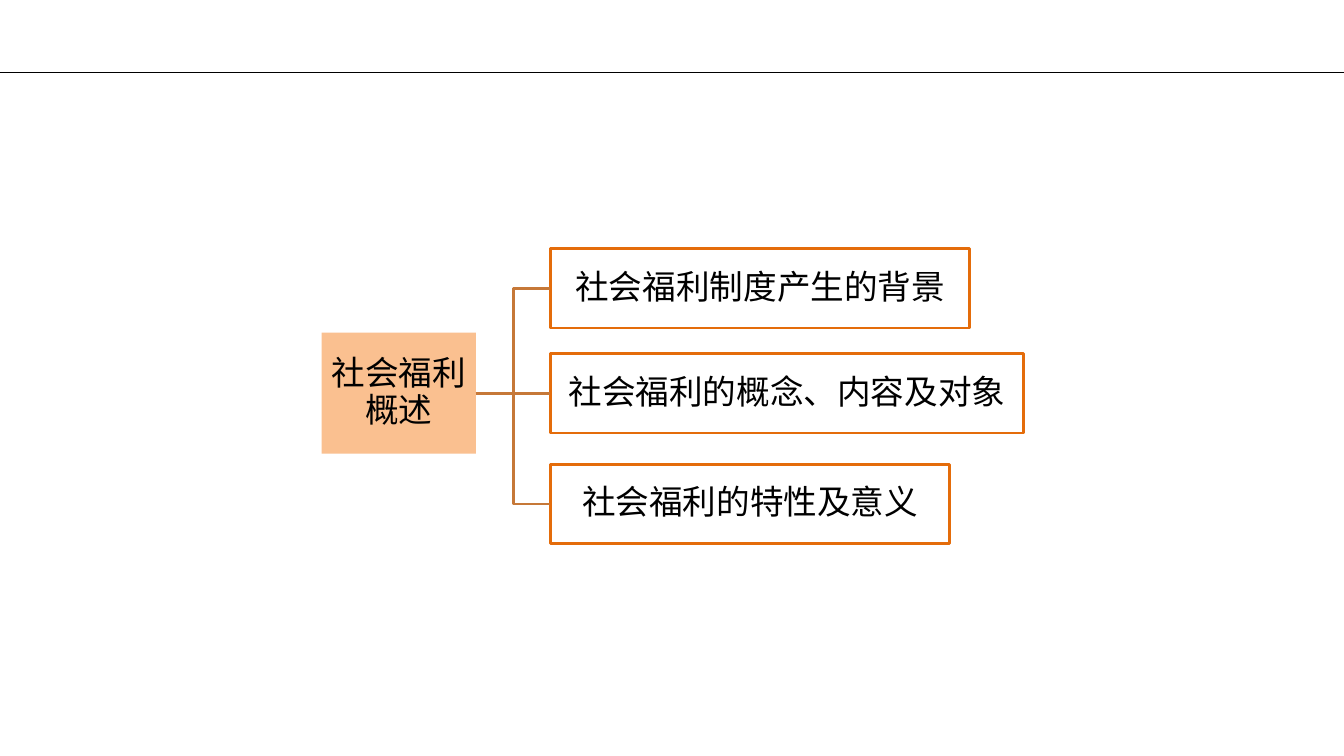
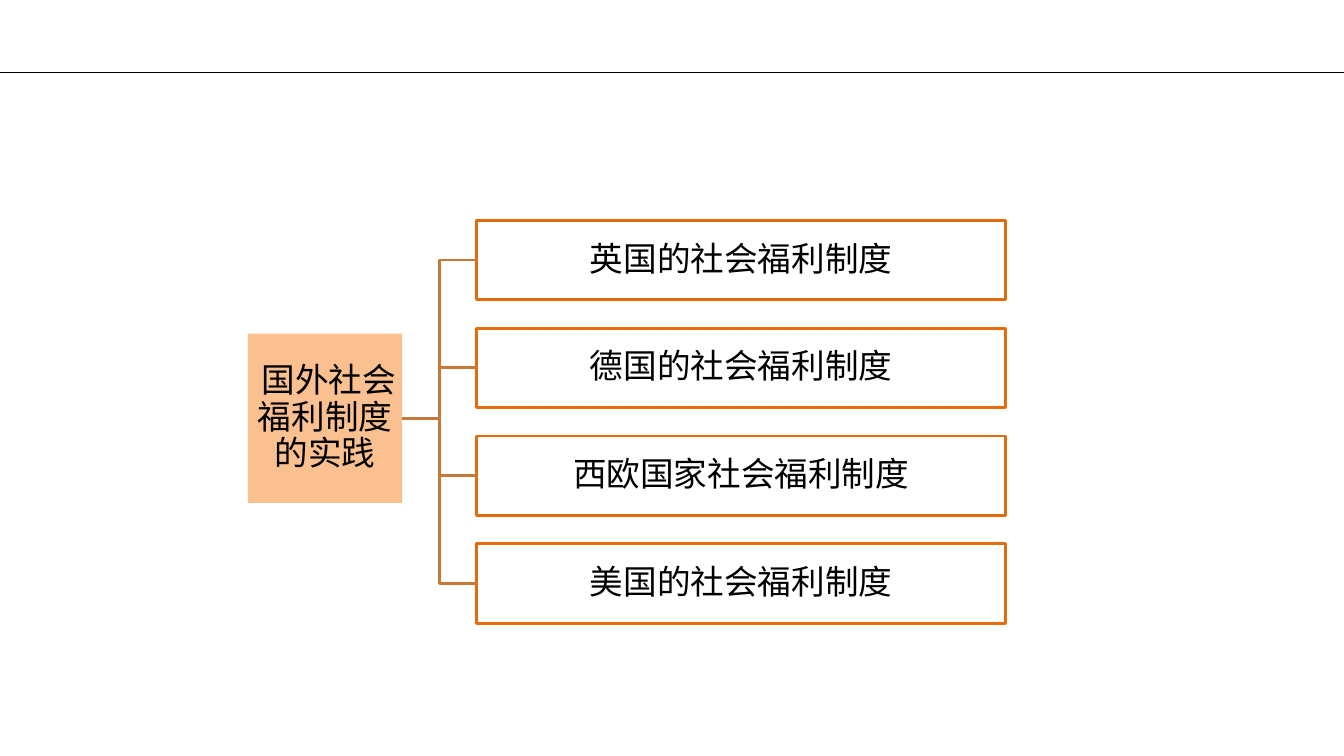
from lxml.etree import SubElement
from pptx import Presentation
from pptx.dml.color import RGBColor
from pptx.enum.shapes import MSO_CONNECTOR, MSO_SHAPE
from pptx.enum.text import MSO_ANCHOR, PP_ALIGN
from pptx.oxml.ns import qn
from pptx.util import Inches, Pt

FONT = "Noto Sans CJK SC"
BLACK, ORANGE, PEACH, BROWN = "000000", "E46C0A", "FAC090", "C67838"
SLIDE_W, SLIDE_H = 13.33, 7.5
RULE_Y = 0.72
ROOT_W, BRANCH_H, LINK_W = 1.53, 0.79, 0.74


def color(value):
    """Turn a hex string into a colour."""
    return RGBColor.from_string(value)


def add_line(s, kind, x1, y1, x2, y2, line, width):
    """Add a connector without a shadow."""
    cn = s.shapes.add_connector(kind, Inches(x1), Inches(y1), Inches(x2), Inches(y2))
    cn.line.color.rgb = color(line)
    cn.line.width = Pt(width)
    SubElement(cn._element.spPr, qn("a:effectLst"))
    return cn


def add_box(s, x, center, w, h, text, fill=None, line=None):
    """Add a captioned rectangle centred on a height."""
    sp = s.shapes.add_shape(MSO_SHAPE.RECTANGLE, Inches(x), Inches(center - h / 2),
                            Inches(w), Inches(h))
    sp.shadow.inherit = False
    if fill:
        sp.fill.solid()
        sp.fill.fore_color.rgb = color(fill)
    else:
        sp.fill.background()
    if line:
        sp.line.color.rgb = color(line)
        sp.line.width = Pt(2)
    else:
        sp.line.fill.background()
    tf = sp.text_frame
    tf.word_wrap = True
    tf.vertical_anchor = MSO_ANCHOR.MIDDLE
    tf.margin_left = tf.margin_right = tf.margin_top = tf.margin_bottom = Inches(0.02)
    tf.text = text
    p = tf.paragraphs[0]
    p.alignment = PP_ALIGN.CENTER
    p.line_spacing = 0.9
    r = p.runs[0]
    r.font.size = Pt(24)
    r.font.name = FONT
    r.font.color.rgb = color(BLACK)
    SubElement(r.font._element, qn("a:ea"), typeface=FONT)
    return sp


def add_tree(s, x, center, root_h, title, branches):
    """Add a root box linked to its (centre, width, text) branches."""
    root_right = x + ROOT_W
    branch_x = root_right + LINK_W
    root = add_box(s, x, center, ROOT_W, root_h, title, fill=PEACH)
    for y, w, text in branches:
        box = add_box(s, branch_x, y, w, BRANCH_H, text, line=ORANGE)
        kind = MSO_CONNECTOR.STRAIGHT if y == center else MSO_CONNECTOR.ELBOW
        cn = add_line(s, kind, root_right, center, branch_x, y, BROWN, 2)
        cn.begin_connect(root, 3)
        cn.end_connect(box, 1)


def add_slide(prs):
    """Add a blank slide with the header rule."""
    s = prs.slides.add_slide(prs.slide_layouts[6])
    add_line(s, MSO_CONNECTOR.STRAIGHT, 0, RULE_Y, SLIDE_W, RULE_Y, BLACK, 1)
    return s


def main():
    """Build and save the presentation."""
    prs = Presentation()
    prs.slide_width, prs.slide_height = Inches(SLIDE_W), Inches(SLIDE_H)

    add_tree(add_slide(prs), 3.19, 3.9, 1.2, "社会福利概述", [
        (2.86, 4.16, "社会福利制度产生的背景"),
        (3.9, 4.69, "社会福利的概念、内容及对象"),
        (5, 3.96, "社会福利的特性及意义"),
    ])

    systems = ["英国的社会福利制度", "德国的社会福利制度",
               "西欧国家社会福利制度", "美国的社会福利制度"]
    add_tree(add_slide(prs), 2.46, 4.15, 1.68, " 国外社会福利制度的实践",
             [(2.58 + 1.07 * i, 5.24, text) for i, text in enumerate(systems)])

    prs.save("out.pptx")


if __name__ == "__main__":
    main()
